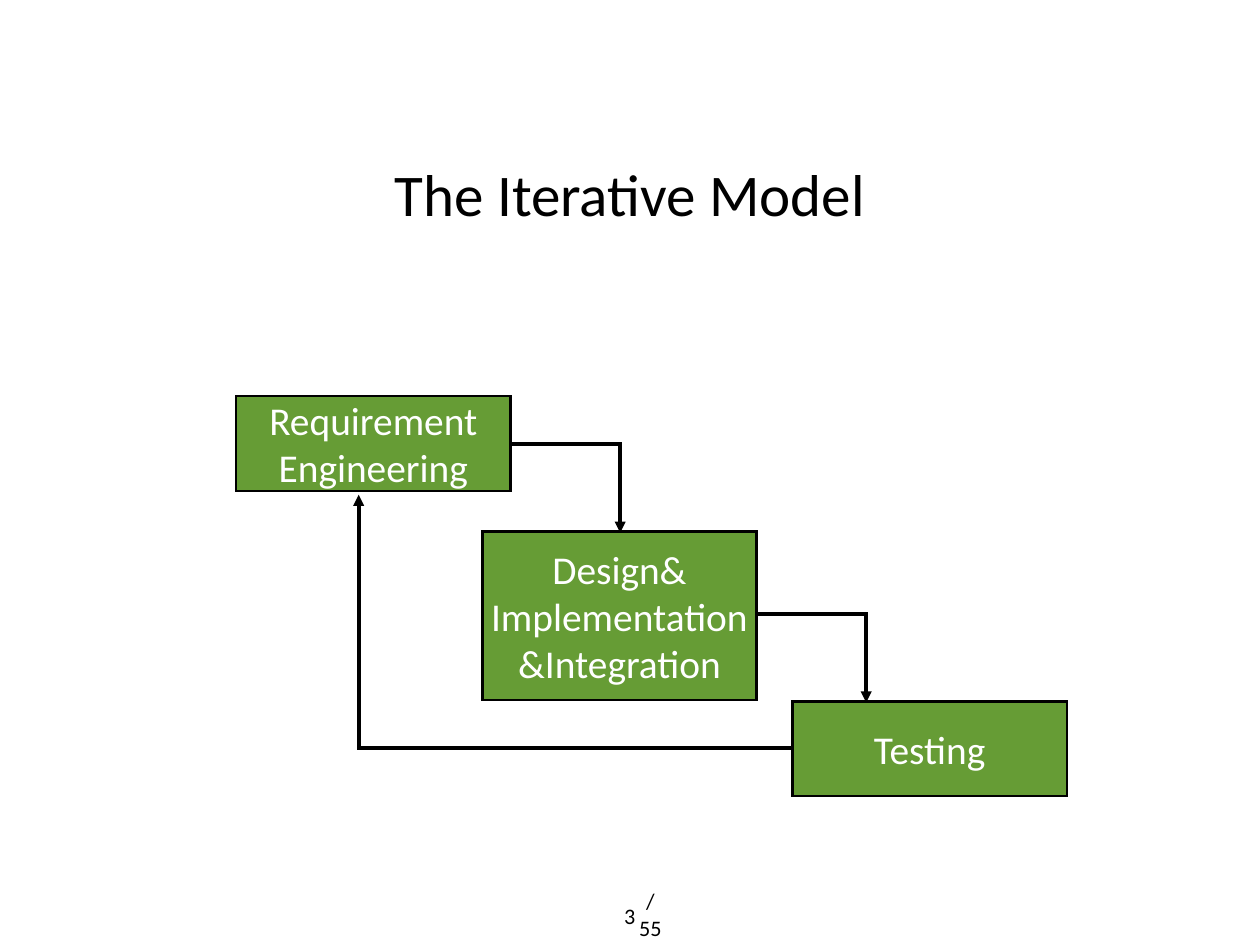
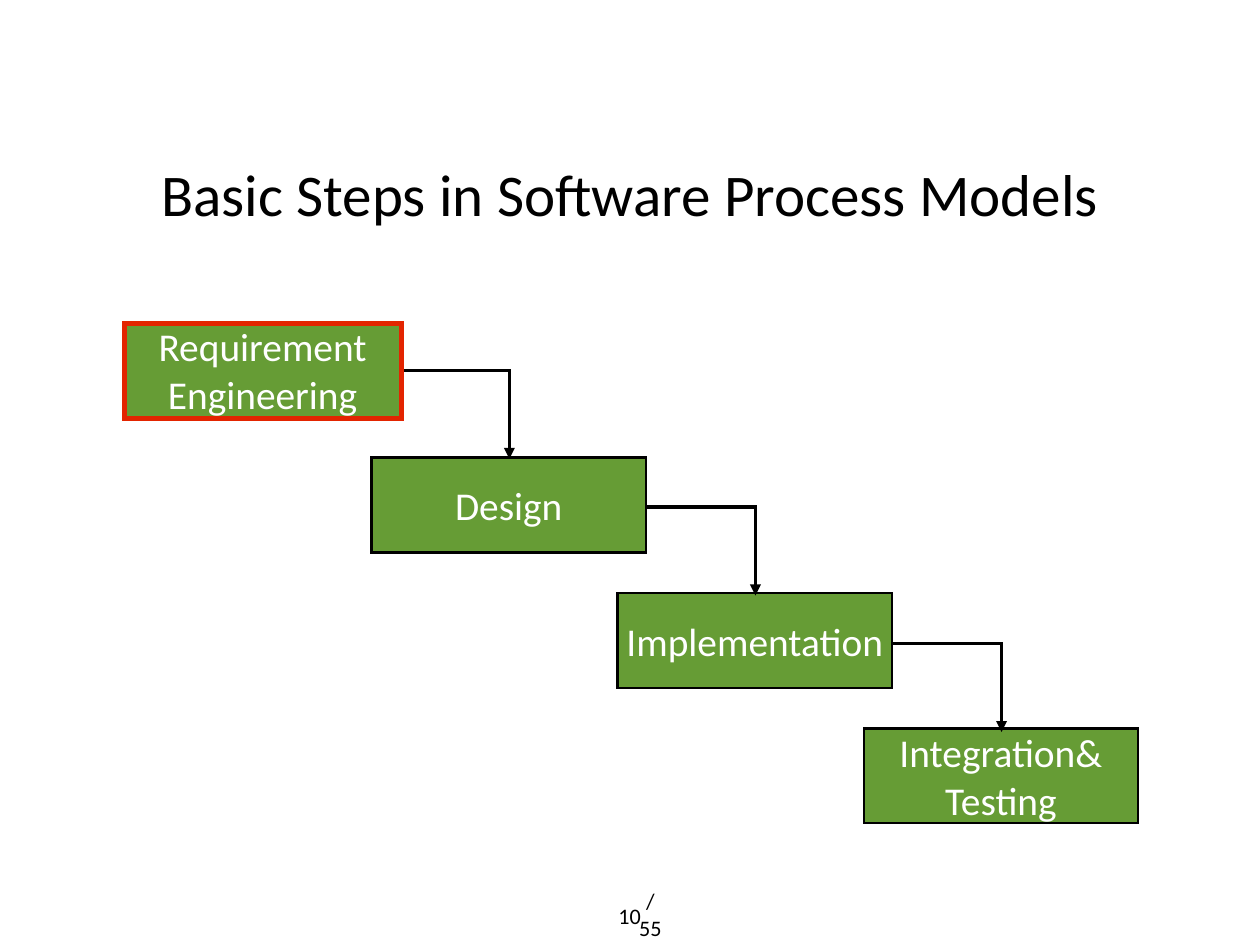
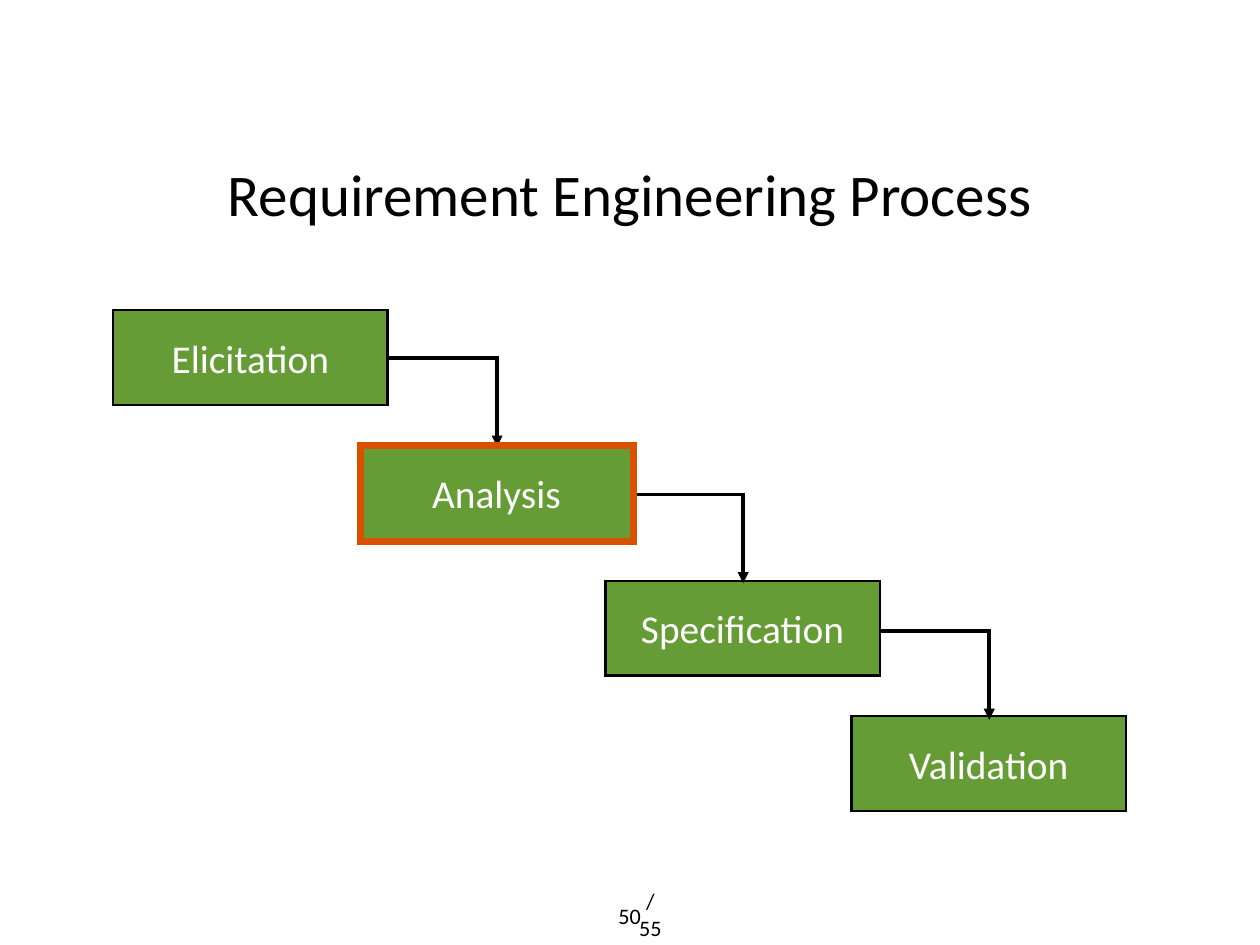
from dataclasses import dataclass
from typing import Any, Optional

from lxml.etree import SubElement
from pptx import Presentation
from pptx.dml.color import RGBColor
from pptx.enum.shapes import MSO_SHAPE as Preset
from pptx.enum.text import MSO_ANCHOR as Anchor, MSO_AUTO_SIZE as AutoSize, PP_ALIGN as Align
from pptx.oxml.ns import qn
from pptx.util import Pt

BLACK = "000000"
WHITE = "FFFFFF"
GREEN = "669C35"
TITLE_ONLY = 5
BOX_WIDTH = 223
BOX_HEIGHT = 77
STEP_X = 200
STEP_Y = 110
ARROW_STEP_Y = 111
MARGIN = Pt(4.5)
FRAME_FORMAT = {
    "auto_size": AutoSize.NONE,
    "margin_left": MARGIN,
    "margin_top": MARGIN,
    "margin_right": MARGIN,
    "margin_bottom": MARGIN,
}


@dataclass(frozen=True)
class Area:
    left: float
    top: float
    width: float = BOX_WIDTH
    height: float = BOX_HEIGHT

    def lengths(self) -> list[Pt]:
        return [Pt(value) for value in (self.left, self.top, self.width, self.height)]


@dataclass(frozen=True)
class Step:
    text: str
    area: Area


@dataclass(frozen=True)
class Arrow:
    points: list[tuple[float, float]]


@dataclass(frozen=True)
class Highlight:
    area: Area
    color: str
    weight: float


@dataclass(frozen=True)
class Page:
    title: str
    number: str
    steps: list[Step]
    arrows: list[Arrow]
    highlight: Optional[Highlight] = None


TITLE_AREA = Area(100, 76, 824, 161)
NUMBER_AREA = Area(498, 728.5, 27.5, 29)
TOTAL_AREA = Area(512.5, 728.5, 32, 29)


def color_of(value: str) -> RGBColor:
    return RGBColor.from_string(value)


def apply_format(target: Any, values: dict[str, Any]) -> None:
    for name, value in values.items():
        setattr(target, name, value)


def write_text(shape: Any, text: str, size: float, color: str = BLACK,
               anchor: Anchor = Anchor.MIDDLE, wrap: bool = True) -> None:
    frame = shape.text_frame
    frame.text = text
    apply_format(frame, FRAME_FORMAT | {"vertical_anchor": anchor, "word_wrap": wrap})
    for paragraph in frame.paragraphs:
        paragraph.alignment = Align.CENTER
        apply_format(paragraph.font, {"size": Pt(size), "name": "Calibri"})
        paragraph.font.color.rgb = color_of(color)


def set_line(shape: Any, color: str, weight: float) -> Any:
    shape.shadow.inherit = False
    shape.line.color.rgb = color_of(color)
    shape.line.width = Pt(weight)
    outline = shape._element.spPr.find(qn("a:ln"))
    SubElement(outline, qn("a:miter"), lim="800000")
    return outline


def elbow(left: float, top: float) -> Arrow:
    return Arrow([(left, top), (left + 88, top), (left + 88, top + 72)])


def staircase(texts: list[str], left: float, top: float) -> tuple[list[Step], list[Arrow]]:
    steps = [
        Step(text, Area(left + index * STEP_X, top + index * STEP_Y))
        for index, text in enumerate(texts)
    ]
    arrows = [
        elbow(left + BOX_WIDTH + 1 + index * STEP_X, top + 39 + index * ARROW_STEP_Y)
        for index in range(len(texts) - 1)
    ]
    return steps, arrows


def draw_step(slide: Any, step: Step) -> None:
    shape = slide.shapes.add_shape(Preset.RECTANGLE, *step.area.lengths())
    shape.fill.solid()
    shape.fill.fore_color.rgb = color_of(GREEN)
    set_line(shape, BLACK, 2)
    write_text(shape, step.text, 32, WHITE)


def draw_arrow(slide: Any, arrow: Arrow) -> None:
    start, *others = [(Pt(x), Pt(y)) for x, y in arrow.points]
    builder = slide.shapes.build_freeform(*start)
    builder.add_line_segments(others, close=False)
    shape = builder.convert_to_shape()
    shape.fill.background()
    outline = set_line(shape, BLACK, 3)
    SubElement(outline, qn("a:tailEnd"), type="triangle")


def draw_highlight(slide: Any, highlight: Highlight) -> None:
    shape = slide.shapes.add_shape(Preset.RECTANGLE, *highlight.area.lengths())
    shape.fill.background()
    set_line(shape, highlight.color, highlight.weight)


def draw_footer(slide: Any, number: str) -> None:
    total_box = slide.shapes.add_textbox(*TOTAL_AREA.lengths())
    write_text(total_box, "/55", 18)
    number_box = slide.shapes.add_textbox(*NUMBER_AREA.lengths())
    write_text(number_box, number, 18, anchor=Anchor.TOP, wrap=False)


def draw_page(presentation: Any, page: Page) -> None:
    slide = presentation.slides.add_slide(presentation.slide_layouts[TITLE_ONLY])
    title = slide.shapes.title
    apply_format(title, dict(zip(("left", "top", "width", "height"), TITLE_AREA.lengths())))
    write_text(title, page.title, 48)
    draw_footer(slide, page.number)
    for step in page.steps:
        draw_step(slide, step)
    for arrow in page.arrows:
        draw_arrow(slide, arrow)
    if page.highlight:
        draw_highlight(slide, page.highlight)


PAGES = [
    Page(
        "The Iterative Model",
        "3",
        [
            Step("Requirement Engineering", Area(192, 322)),
            Step("Design&\nImplementation\n&Integration", Area(392, 432, height=137)),
            Step("Testing", Area(644, 570)),
        ],
        [
            elbow(416, 361),
            elbow(616, 499),
            Arrow([(644, 608), (291.5, 608), (291.5, 402)]),
        ],
    ),
    Page(
        "Basic Steps in Software Process Models",
        "10",
        *staircase(
            ["Requirement Engineering", "Design", "Implementation", "Integration&\nTesting"],
            102, 262,
        ),
        Highlight(Area(101, 263, 225), "E32400", 4),
    ),
    Page(
        "Requirement Engineering Process",
        "50",
        *staircase(["Elicitation", "Analysis", "Specification", "Validation"], 92, 252),
        Highlight(Area(293, 362, 222, 78), "D95000", 6),
    ),
]


def main() -> None:
    presentation = Presentation()
    apply_format(presentation, {"slide_width": Pt(1024), "slide_height": Pt(768)})
    for page in PAGES:
        draw_page(presentation, page)
    presentation.save("out.pptx")


if __name__ == "__main__":
    main()
